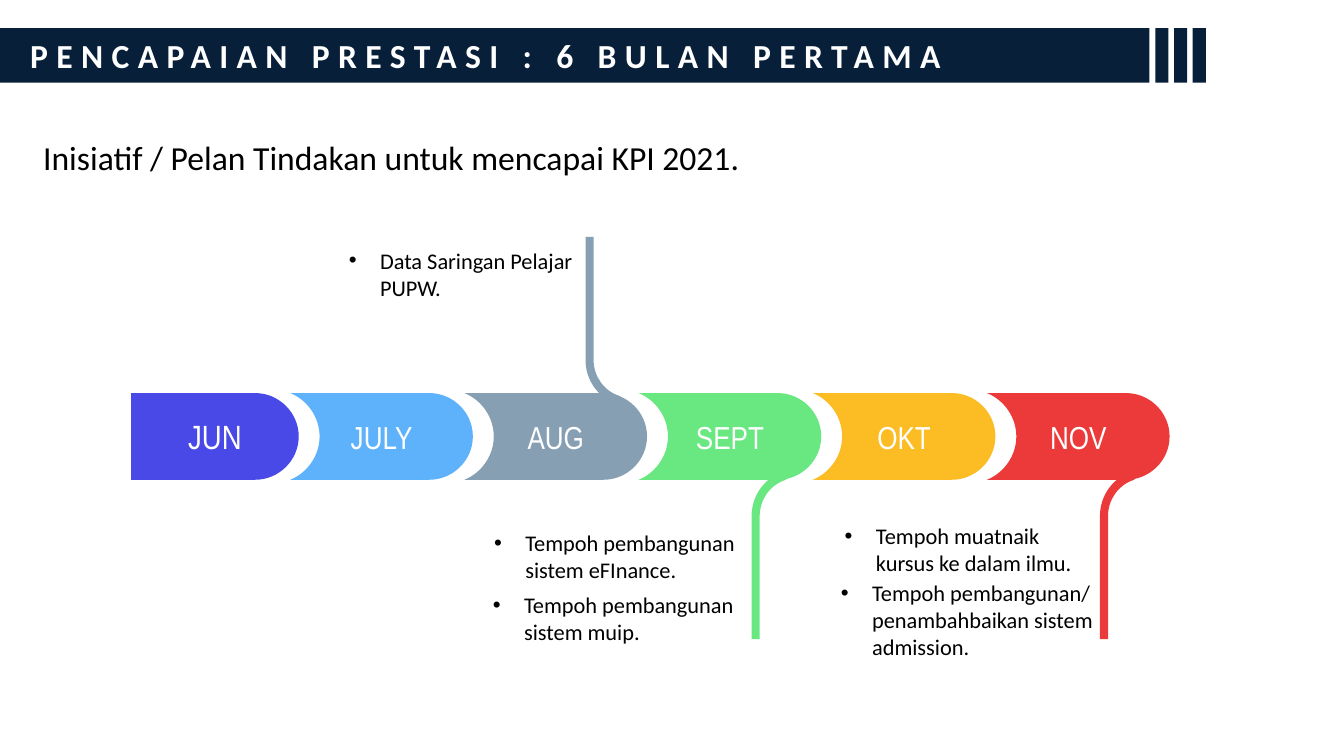
import pptx
import pptx.dml.color
import pptx.enum.shapes
import pptx.enum.text
import pptx.oxml
import pptx.oxml.ns
import pptx.util
from pptx.util import Inches

NAVY, WHITE, BLACK = "071F39", "FFFFFF", "000000"
TITLE = "PENCAPAIAN PRESTASI : 6 BULAN PERTAMA"
SUBTITLE = "Inisiatif / Pelan Tindakan untuk mencapai KPI 2021."
MONTHS = [
    ("JUN", "4949E7", 24, None),
    ("JULY", "5EB2FC", 22.7, None),
    ("AUG", "869FB2", 22.7, "up"),
    ("SEPT", "69E781", 22.7, "down"),
    ("OKT", "FCBD24", 22.7, None),
    ("NOV", "EC3A3B", 22.7, "down"),
]
NOTES = [
    ("Data Saringan Pelajar PUPW.", (3.33, 2.4, 2.72, 0.63), (0.13, 0.13)),
    ("Tempoh pembangunan sistem eFInance.", (4.77, 5.2, 2.75, 0.63), (0.13, 0.13)),
    ("Tempoh pembangunan sistem muip.", (4.79, 5.81, 2.74, 0.64), (0.1, 0.05)),
    ("Tempoh muatnaik kursus ke dalam ilmu.", (8.28, 5.13, 2.73, 0.64), (0.1, 0.05)),
    ("Tempoh pembangunan/ penambahbaikan sistem admission.",
     (8.21, 5.61, 2.95, 1.07), (0.13, 0.13)),
]

BAND_TOP, BAND_MID, BAND_BOTTOM = 3.9, 4.33, 4.76
FIRST_X, SECOND_X, LAST_X = 1.3, 2.88, 9.79
STEP = (LAST_X - SECOND_X) / (len(MONTHS) - 2)
ARC_DX, TIP_DX = 1.38, 1.81
STEM_DX = {"up": 1.2, "down": 1.12}
MIRROR_SUM = 8.69

prs = pptx.Presentation()
prs.slide_width, prs.slide_height = Inches(13.33), Inches(7.5)
s = prs.slides.add_slide(prs.slide_layouts[6])


def color(value):
    return pptx.dml.color.RGBColor.from_string(value)


def element(tag, **attrs):
    el = pptx.oxml.xmlchemy.OxmlElement(tag)
    for name, value in attrs.items():
        el.set(name, str(value))
    return el


def paint(sp, fill):
    sp.shadow.inherit = False
    sp.fill.solid()
    sp.fill.fore_color.rgb = color(fill)
    sp.line.fill.background()


def write(sp, text, size, font, ink, insets=(0.1, 0.05), centered=False):
    tf = sp.text_frame
    tf.word_wrap = True
    tf.vertical_anchor = pptx.enum.text.MSO_ANCHOR.MIDDLE
    tf.margin_left = tf.margin_right = Inches(insets[0])
    tf.margin_top = tf.margin_bottom = Inches(insets[1])
    p = tf.paragraphs[0]
    align = pptx.enum.text.PP_ALIGN
    p.alignment = align.CENTER if centered else align.LEFT
    r = p.add_run()
    r.text = text
    r.font.size = pptx.util.Pt(size)
    r.font.name = font
    r.font.color.rgb = color(ink)
    return p, r


def bar(left, width):
    sp = s.shapes.add_shape(pptx.enum.shapes.MSO_SHAPE.RECTANGLE,
                            Inches(left), Inches(0.28), Inches(width), Inches(0.54))
    paint(sp, NAVY)
    return sp


def textbox(box):
    return s.shapes.add_textbox(*[Inches(v) for v in box])


def outline(segments, fill):
    segments = [[(Inches(x), Inches(y)) for x, y in seg] for seg in segments]
    ends = [seg[-1] for seg in segments]
    builder = s.shapes.build_freeform(*ends[0], scale=1.0)
    builder.add_line_segments(ends[1:], close=True)
    sp = builder.convert_to_shape()
    lines = list(sp._element.iter(pptx.oxml.ns.qn("a:lnTo")))
    for line, seg in zip(lines, segments[1:]):
        if len(seg) == 3:
            bezier = element("a:cubicBezTo")
            for x, y in seg:
                bezier.append(element("a:pt", x=x - sp.left, y=y - sp.top))
            line.getparent().replace(line, bezier)
    paint(sp, fill)
    return sp


def rounded_end(x, tip):
    return [[(x, BAND_BOTTOM)],
            [(x + 0.23, BAND_BOTTOM), (tip, 4.57), (tip, BAND_MID)],
            [(tip, 4.09), (x + 0.23, BAND_TOP), (x, BAND_TOP)]]


def notch(x):
    inner = x + 0.29
    return [[(x, BAND_TOP)],
            [(x + 0.17, 3.97), (inner, 4.14), (inner, BAND_MID)],
            [(inner, 4.52), (x + 0.17, 4.69), (x, BAND_BOTTOM)]]


def stem(x, upward):
    segments = [[(0.26, 4.7)],
                [(0.1, 4.78), (0, 4.94), (0, 5.12)],
                [(0, 6.34)], [(0.08, 6.34)], [(0.08, 5.12)],
                [(0.08, 4.96), (0.18, 4.81), (0.34, 4.76)],
                [(0.34, 4.7)]]
    return [[(x + dx, MIRROR_SUM - y if upward else y) for dx, y in seg]
            for seg in segments]


p, r = write(bar(0, 11.4), TITLE, 24, "Calibri", WHITE)
r.font.bold = True
r.font._element.set("spc", "600")
p._p.get_or_add_pPr().set("marL", str(Inches(0.2)))
for i in range(3):
    bar(11.46 + 0.185 * i, 0.13)

write(textbox((0.33, 1.31, 7.47, 0.5)), SUBTITLE, 24, "Calibri", BLACK)

for i, (month, fill, size, direction) in enumerate(MONTHS):
    x = SECOND_X + STEP * (i - 1)
    if direction:
        outline(stem(x + STEM_DX[direction], direction == "up"), fill)
    left_side = notch(x) if i else [[(FIRST_X, BAND_TOP)], [(FIRST_X, BAND_BOTTOM)]]
    sp = outline(left_side + rounded_end(x + ARC_DX, x + TIP_DX), fill)
    write(sp, month, size, "Arial Narrow", WHITE, (0.13, 0.13), True)

for text, box, insets in NOTES:
    p, r = write(textbox(box), text, 16, "Calibri", BLACK, insets)
    pPr = p._p.get_or_add_pPr()
    pPr.set("marL", str(Inches(0.31)))
    pPr.set("indent", str(-Inches(0.31)))
    pPr.append(element("a:buFont", typeface="Arial"))
    pPr.append(element("a:buChar", char="•"))

prs.save("out.pptx")
